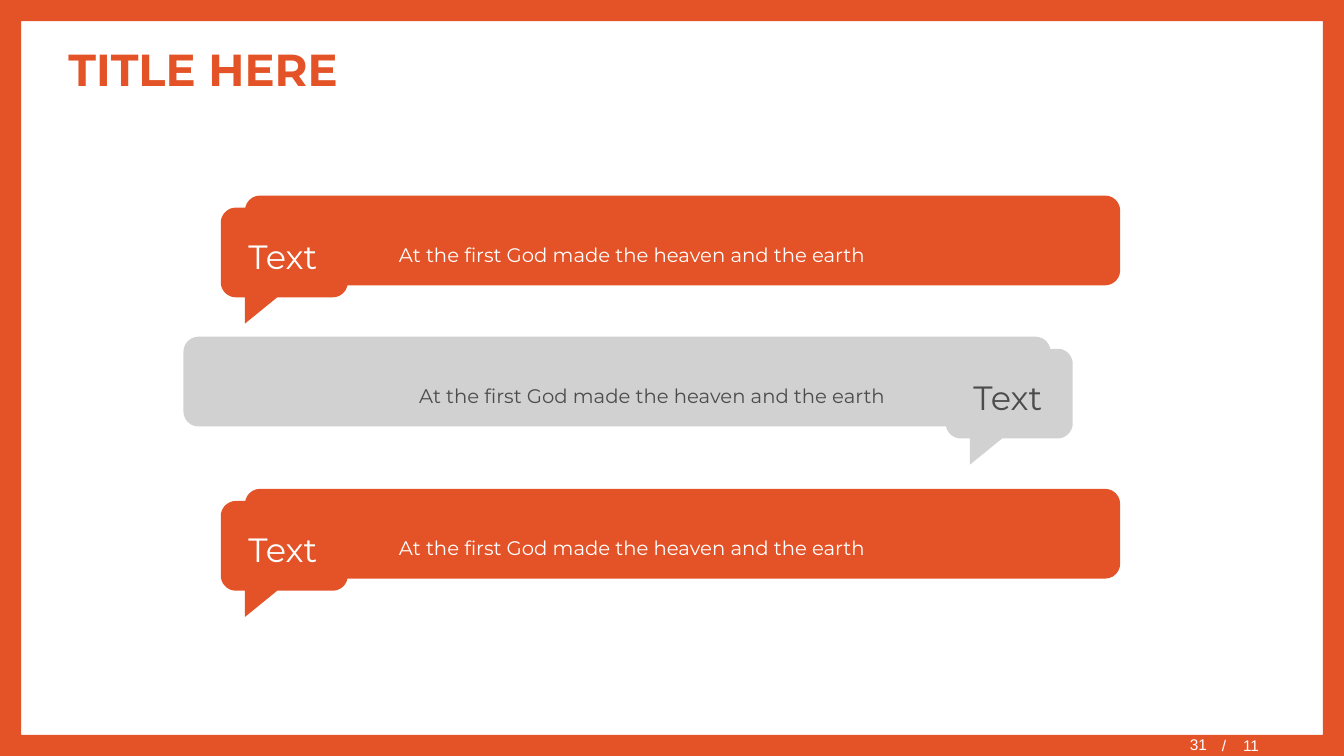
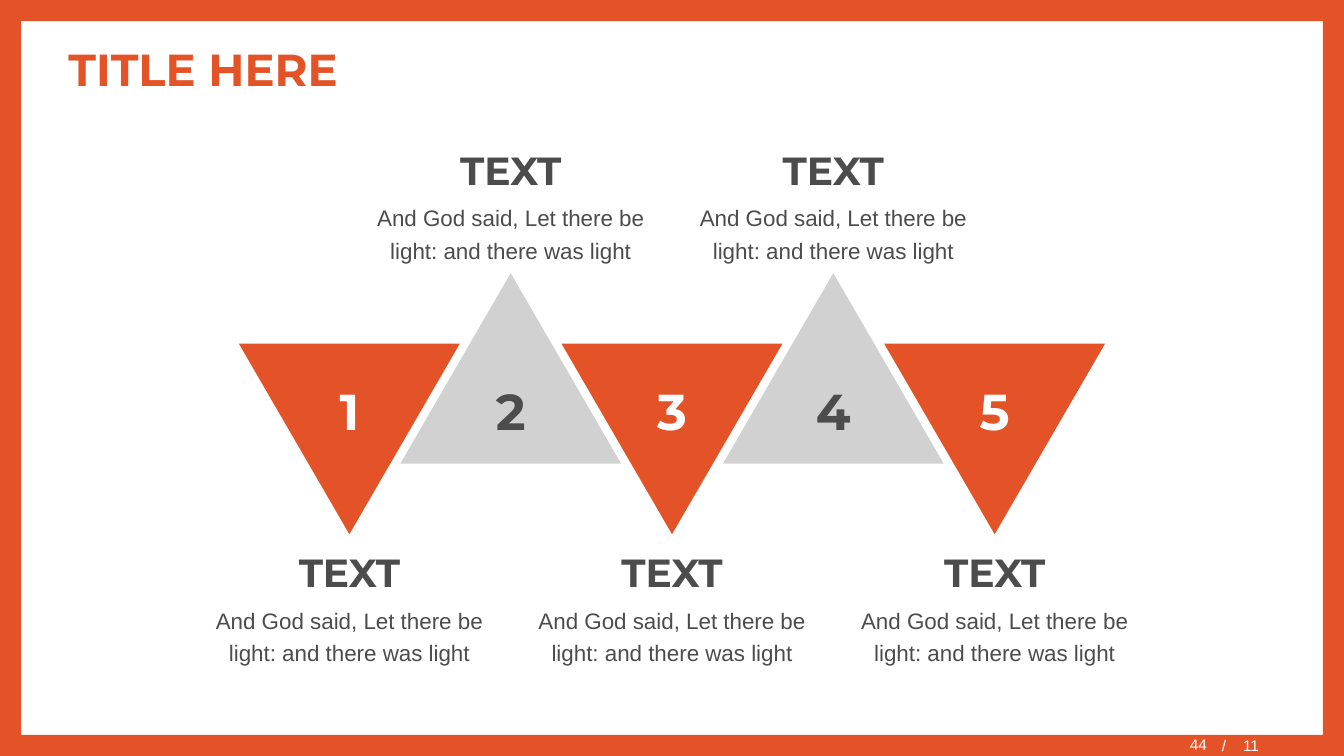
from math import cos, radians, sin

from lxml.etree import SubElement
from pptx import Presentation
from pptx.dml.color import RGBColor
from pptx.enum.shapes import MSO_SHAPE as Preset
from pptx.enum.text import MSO_ANCHOR as Anchor, MSO_AUTO_SIZE as AutoSize, PP_ALIGN as Align
from pptx.oxml.ns import qn
from pptx.util import Inches, Pt

ORANGE = RGBColor(0xE4, 0x53, 0x27)
SILVER = RGBColor(0xD1, 0xD1, 0xD1)
CHARCOAL = RGBColor(0x4C, 0x4C, 0x4C)
WHITE = RGBColor(0xFF, 0xFF, 0xFF)
HEADING_FONT = "Montserrat"
BODY_FONT = "Arial"
WIDTH, HEIGHT = 13.33, 7.5
VERSE = "At the first God made the heaven and the earth"
CAPTION = "And God said, Let there be light: and there was light"


# Basic parts
def paint(shape, color):
    shape.shadow.inherit = False
    shape.fill.solid()
    shape.fill.fore_color.rgb = color
    shape.line.fill.background()


def add_preset(page, preset, left, top, width, height, color):
    shape = page.shapes.add_shape(
        preset, Inches(left), Inches(top), Inches(width), Inches(height))
    paint(shape, color)
    return shape


def add_box(page, left, top, width, height, text, wrap=True):
    box = page.shapes.add_textbox(
        Inches(left), Inches(top), Inches(width), Inches(height))
    box.text_frame.word_wrap = wrap
    box.text_frame.text = text
    return box


def style(para, size, color, font=HEADING_FONT, bold=False, align=Align.LEFT):
    para.alignment = align
    for span in para.runs:
        span.font.name = font
        span.font.size = Pt(size)
        span.font.bold = bold
        span.font.color.rgb = color


def add_centred(page, left, top, width, height, lines, wrap=True):
    """Each line is (text, size, color, font, bold)."""
    box = add_box(page, left, top, width, height,
                  "\n".join(line[0] for line in lines), wrap)
    box.text_frame.auto_size = AutoSize.SHAPE_TO_FIT_TEXT
    for para, (_, size, color, font, bold) in zip(box.text_frame.paragraphs, lines):
        style(para, size, color, font, bold, Align.CENTER)
        para.line_spacing = 1.2
        para.space_before = para.space_after = Pt(2)


# Frame, title and page number shared by the slides
def add_page(deck, title, number):
    page = deck.slides.add_slide(deck.slide_layouts[6])
    frame = add_preset(page, Preset.FRAME, 0, 0, WIDTH, HEIGHT, ORANGE)
    frame.adjustments[0] = 0.028

    heading = add_box(page, 0.58, 0.29, 12.18, 0.79, title)
    heading.text_frame.vertical_anchor = Anchor.MIDDLE
    style(heading.text_frame.paragraphs[0], 32, ORANGE, bold=True)

    total = add_box(page, 12.02, 7.3, 1.31, 0.18, "/\t11")
    total.text_frame.vertical_anchor = Anchor.MIDDLE
    para = total.text_frame.paragraphs[0]
    style(para, 11, WHITE, BODY_FONT)
    tabs = SubElement(para._p.get_or_add_pPr(), qn("a:tabLst"))
    SubElement(tabs, qn("a:tab"), pos=str(Inches(0.21)), algn="l")

    current = add_box(page, 9.48, 7.32, 2.59, 0.18, number)
    current.text_frame.vertical_anchor = Anchor.MIDDLE
    current.text_frame.margin_top = 0
    style(current.text_frame.paragraphs[0], 11, WHITE, BODY_FONT, align=Align.RIGHT)
    return page


# Speech bubble: rounded box with a tail at the lower left
def add_bubble(page, left, top, width, height, color):
    radius = 0.15
    right, bottom = left + width, top + height
    corners = [  # centre of each corner arc, and its first angle
        (left + radius, top + radius, 180),
        (right - radius, top + radius, 270),
        (right - radius, bottom - radius, 0),
        (left + radius, bottom - radius, 90),
    ]
    outline = []
    for x, y, start in corners:
        if start == 90:
            outline += [(left + 0.56, bottom), (left + 0.24, bottom + 0.26),
                        (left + 0.24, bottom)]
        for angle in range(start, start + 91, 10):
            outline.append((x + radius * cos(radians(angle)),
                            y + radius * sin(radians(angle))))
    points = [(Inches(x), Inches(y)) for x, y in outline]
    builder = page.shapes.build_freeform(*points[0])
    builder.add_line_segments(points[1:], close=True)
    paint(builder.convert_to_shape(), color)


# One message: band, bubble with label, and verse
def add_message(page, left, top, width, bubble_left, verse_left, fill, ink):
    height = 0.89
    add_preset(page, Preset.ROUNDED_RECTANGLE, left, top, width, height, fill)
    add_bubble(page, bubble_left, top + 0.12, 1.26, height, fill)
    add_centred(page, bubble_left + 0.11, top + 0.27, 1.01, 0.59,
                [("Text", 24, ink, HEADING_FONT, False)], wrap=False)
    add_centred(page, verse_left, top + 0.37, 5.28, 0.38,
                [(VERSE, 14, ink, HEADING_FONT, False)], wrap=False)


def build_messages(deck):
    page = add_page(deck, "TITLE HERE", "31")
    add_message(page, 2.43, 1.94, 8.68, 2.19, 3.63, ORANGE, WHITE)
    add_message(page, 1.82, 3.34, 8.6, 9.38, 3.83, SILVER, CHARCOAL)
    add_message(page, 2.43, 4.85, 8.68, 2.19, 3.63, ORANGE, WHITE)


# One step: triangle, number and caption around a centre line
def add_step(page, number, centre, top):
    upright = number % 2 == 0
    width, height = 2.19, 1.89
    triangle_top = top if upright else top + 0.7
    triangle = add_preset(page, Preset.ISOSCELES_TRIANGLE, centre - width / 2,
                          triangle_top, width, height,
                          SILVER if upright else ORANGE)
    triangle.rotation = 0 if upright else 180

    caption_top = top - 1.4 if upright else triangle_top + height
    add_centred(page, centre - 1.51, caption_top, 3.02, 1.37,
                [("TEXT", 28, CHARCOAL, HEADING_FONT, True),
                 (CAPTION, 16, CHARCOAL, BODY_FONT, False)])
    add_centred(page, centre - 0.59, top + 0.89, 1.18, 0.83,
                [(str(number), 36, CHARCOAL if upright else WHITE,
                  HEADING_FONT, True)])


def build_triangles(deck):
    page = add_page(deck, "TITLE HERE", "44")
    for number in range(1, 6):
        add_step(page, number, WIDTH / 2 + 1.6 * (number - 3), 2.71)


def main():
    deck = Presentation()
    deck.slide_width, deck.slide_height = Inches(WIDTH), Inches(HEIGHT)
    build_messages(deck)
    build_triangles(deck)
    deck.save("out.pptx")


if __name__ == "__main__":
    main()
